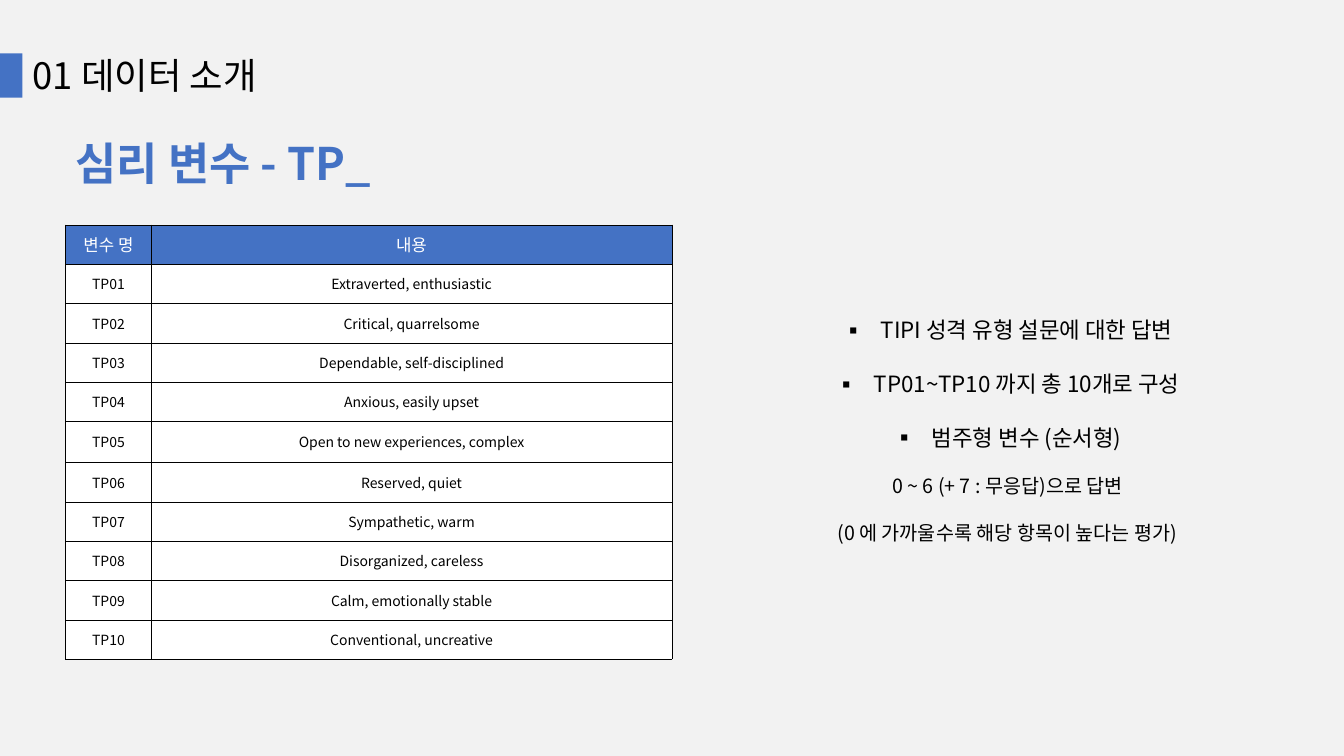
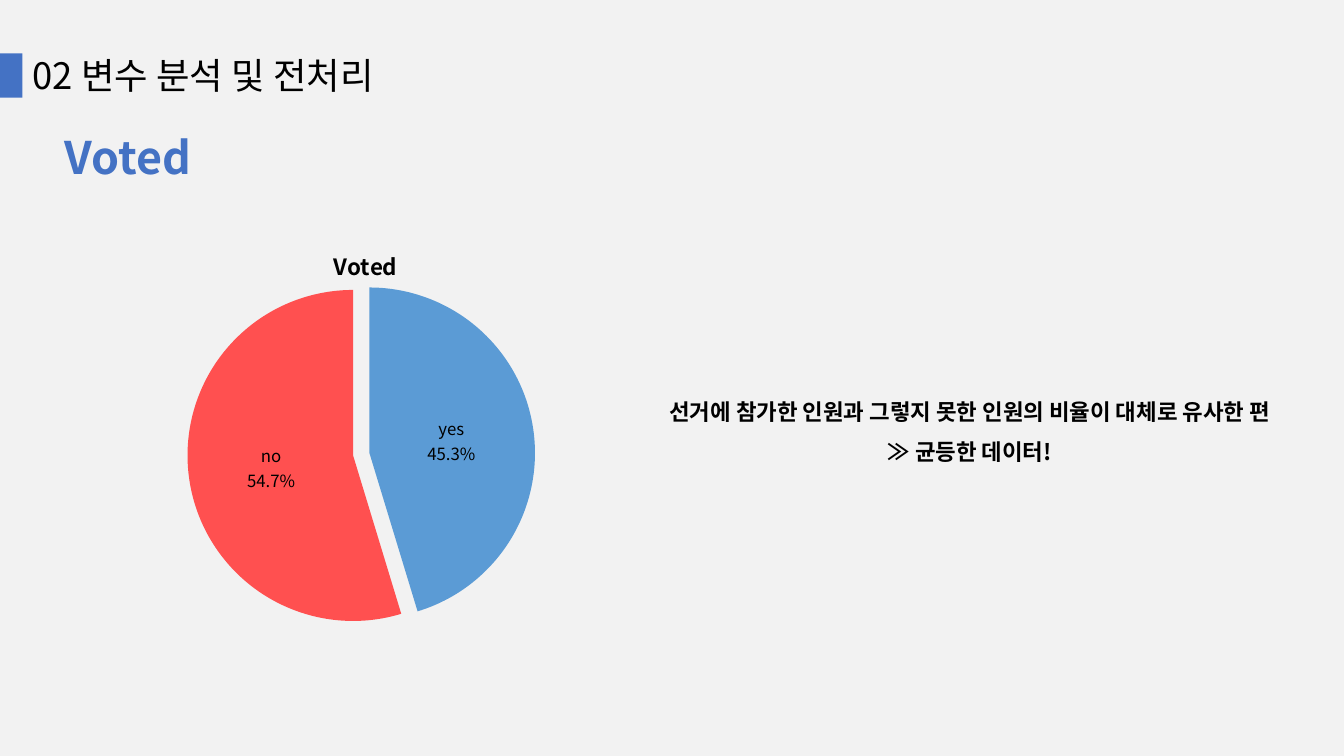
from lxml import etree
from pptx import Presentation
from pptx.chart.data import CategoryChartData
from pptx.dml.color import RGBColor
from pptx.enum.chart import XL_CHART_TYPE, XL_LABEL_POSITION
from pptx.enum.shapes import MSO_SHAPE
from pptx.enum.text import MSO_ANCHOR, MSO_AUTO_SIZE, PP_ALIGN
from pptx.oxml.ns import qn
from pptx.util import Inches, Pt

RECTANGLE = MSO_SHAPE.RECTANGLE
PIE = XL_CHART_TYPE.PIE
LABEL_CENTER = XL_LABEL_POSITION.CENTER
TOP, MIDDLE = MSO_ANCHOR.TOP, MSO_ANCHOR.MIDDLE
GROW, FIXED = MSO_AUTO_SIZE.SHAPE_TO_FIT_TEXT, MSO_AUTO_SIZE.NONE
LEFT, CENTER = PP_ALIGN.LEFT, PP_ALIGN.CENTER

WIDTH, HEIGHT = Inches(13.33), Inches(7.5)
FONT = "Noto Sans CJK KR"
COLORS = {
    "background": "F2F2F2",
    "accent": "4472C4",
    "text": "000000",
    "white": "FFFFFF",
    "yes": "5B9BD5",
    "no": "FF5050",
}
CONTENT_LAYOUT, TITLE_LAYOUT = 1, 5
BULLET_INDENT = Inches(0.38)

TRAITS = [
    "Extraverted, enthusiastic",
    "Critical, quarrelsome",
    "Dependable, self-disciplined",
    "Anxious, easily upset",
    "Open to new experiences, complex",
    "Reserved, quiet",
    "Sympathetic, warm",
    "Disorganized, careless",
    "Calm, emotionally stable",
    "Conventional, uncreative",
]
TALL_ROW = 5


def color(name):
    return RGBColor.from_string(COLORS[name])


def across(percent):
    return round(WIDTH * percent / 100)


def down(percent):
    return round(HEIGHT * percent / 100)


def area(left, top, width, height):
    return across(left), down(top), across(width), down(height)


def fill_solid(fill, name):
    fill.solid()
    fill.fore_color.rgb = color(name)


def add_run(paragraph, text, size, color_name="text", bold=False):
    run = paragraph.add_run()
    run.text = text
    font = run.font
    font.size, font.bold, font.name = Pt(size), bold, FONT
    font.color.rgb = color(color_name)
    latin = run._r.rPr.find(qn("a:latin"))
    east_asian = etree.Element(qn("a:ea"), typeface=FONT)
    latin.addnext(east_asian)


def set_bullet(paragraph, bullet):
    properties = paragraph._p.get_or_add_pPr()
    indent = BULLET_INDENT if bullet else 0
    properties.set("marL", str(indent))
    properties.set("indent", str(-indent))
    if bullet:
        etree.SubElement(properties, qn("a:buFont"), typeface=FONT)
        etree.SubElement(properties, qn("a:buChar"), char=bullet)
    else:
        etree.SubElement(properties, qn("a:buNone"))


def next_paragraph(frame, index, alignment, spacing):
    paragraph = frame.add_paragraph() if index else frame.paragraphs[0]
    paragraph.alignment = alignment
    paragraph.line_spacing = spacing
    paragraph.space_before = Pt(0)
    return paragraph


def set_frame(frame, anchor=TOP, auto_size=GROW):
    frame.word_wrap = True
    frame.auto_size = auto_size
    frame.vertical_anchor = anchor


def move(shape, box):
    shape.left, shape.top, shape.width, shape.height = box


def add_section_slide(presentation, layout, title):
    slide = presentation.slides.add_slide(presentation.slide_layouts[layout])
    band = slide.shapes.add_shape(RECTANGLE, *area(0, 7.07, 1.67, 5.87))
    band.shadow.inherit = False
    fill_solid(band.fill, "accent")
    band.line.fill.background()
    heading = slide.shapes.title
    move(heading, area(1.67, 6.4, 50, 7.2))
    set_frame(heading.text_frame)
    paragraph = next_paragraph(heading.text_frame, 0, LEFT, 1.0)
    add_run(paragraph, title, 26)
    return slide


def add_text(slide, box, lines, size, color_name="text", alignment=LEFT,
             spacing=1.0, anchor=TOP, auto_size=GROW):
    frame = slide.shapes.add_textbox(*box).text_frame
    set_frame(frame, anchor, auto_size)
    for index, line in enumerate(lines):
        paragraph = next_paragraph(frame, index, alignment, spacing)
        add_run(paragraph, line, size, color_name, bold=True)


def add_subtitle(slide, box, text):
    add_text(slide, box, [text], 32, "accent")


def fill_list(placeholder, box, items):
    move(placeholder, box)
    frame = placeholder.text_frame
    set_frame(frame)
    for index, (text, size, bullet) in enumerate(items):
        paragraph = next_paragraph(frame, index, CENTER, 2.0)
        set_bullet(paragraph, bullet)
        add_run(paragraph, text, size)


def set_borders(cell):
    properties = cell._tc.get_or_add_tcPr()
    for index, side in enumerate(("lnL", "lnR", "lnT", "lnB")):
        line = etree.Element(qn(f"a:{side}"), w=str(Pt(0.25)))
        fill = etree.SubElement(line, qn("a:solidFill"))
        etree.SubElement(fill, qn("a:srgbClr"), val=COLORS["text"])
        properties.insert(index, line)


def fill_cell(cell, text, size, text_color, fill_color):
    cell.vertical_anchor = MIDDLE
    fill_solid(cell.fill, fill_color)
    set_borders(cell)
    paragraph = next_paragraph(cell.text_frame, 0, CENTER, 1.0)
    add_run(paragraph, text, size, text_color)


def add_variable_table(slide, box, column_shares):
    rows = [("변수 명", "내용")]
    rows += [(f"TP{number:02}", trait) for number, trait in enumerate(TRAITS, 1)]
    table = slide.shapes.add_table(len(rows), 2, *box).table
    table.first_row = table.horz_banding = False
    for column, share in zip(table.columns, column_shares):
        column.width = across(share)
    for index, texts in enumerate(rows):
        table.rows[index].height = down(5.47 if index == TALL_ROW else 5.2)
        style = (10, "text", "white") if index else (12, "white", "accent")
        for column, text in enumerate(texts):
            fill_cell(table.cell(index, column), text, *style)


def set_chart_layout(parent, index, **shares):
    for old_layout in parent.findall(qn("c:layout")):
        parent.remove(old_layout)
    layout = etree.Element(qn("c:layout"))
    manual = etree.SubElement(layout, qn("c:manualLayout"))
    if "w" in shares:
        etree.SubElement(manual, qn("c:layoutTarget"), val="inner")
    for axis in ("x", "y"):
        etree.SubElement(manual, qn(f"c:{axis}Mode"), val="edge")
    for key, share in shares.items():
        etree.SubElement(manual, qn(f"c:{key}"), val=str(share))
    parent.insert(index, layout)


def add_pie(slide, box, name, shares, explosion):
    data = CategoryChartData()
    data.categories = list(shares)
    data.add_series(name, list(shares.values()))
    chart = slide.shapes.add_chart(PIE, *box, data).chart
    chart.has_legend = False
    chart.font.name, chart.font.size = FONT, Pt(18)
    chart.font.color.rgb = color("text")

    chart.has_title = True
    title = chart.chart_title
    add_run(title.text_frame.paragraphs[0], name, 16, bold=True)
    set_chart_layout(title._element, 1, x=0.46, y=0.1)
    plot_area = chart._chartSpace.find(".//" + qn("c:plotArea"))
    set_chart_layout(plot_area, 0, x=0.26, y=0.18, w=0.49, h=0.77)

    plot = chart.plots[0]
    plot.vary_by_categories = True
    series = plot.series[0]
    for index, category in enumerate(shares):
        fill_solid(series.points[index].format.fill, category)
    first_point = series._element.find(qn("c:dPt"))
    first_point.addprevious(
        etree.Element(qn("c:explosion"), val=str(explosion)))

    plot.has_data_labels = True
    labels = plot.data_labels
    labels.show_value = False
    labels.show_category_name = labels.show_percentage = True
    labels.number_format = "0.0%"
    labels.number_format_is_linked = False
    labels.position = LABEL_CENTER
    labels.font.size, labels.font.name = Pt(12), FONT
    labels.font.color.rgb = color("text")
    separator = etree.Element(qn("c:separator"))
    separator.text = "\n"
    labels._element.find(qn("c:showBubbleSize")).addnext(separator)


def build_variables_slide(presentation):
    slide = add_section_slide(presentation, CONTENT_LAYOUT, "01 데이터 소개")
    add_subtitle(slide, area(4.88, 17.33, 56.1, 8.53), "심리 변수 - TP_")
    add_variable_table(slide, area(4.88, 29.73, 45.1, 57.2), (6.38, 38.72))
    fill_list(slide.placeholders[1], area(53.4, 37.6, 43.13, 57.87), [
        ("TIPI 성격 유형 설문에 대한 답변", 16, "▪"),
        ("TP01~TP10 까지 총 10개로 구성", 16, "▪"),
        ("범주형 변수 (순서형)", 16, "▪"),
        ("0 ~ 6 (+ 7 : 무응답)으로 답변", 14, None),
        ("(0 에 가까울수록 해당 항목이 높다는 평가)", 14, None),
    ])


def build_voted_slide(presentation):
    slide = add_section_slide(presentation, TITLE_LAYOUT, "02 변수 분석 및 전처리")
    add_pie(slide, area(0.22, 26.27, 52.8, 59.87), "Voted",
            {"yes": 45.3, "no": 54.7}, explosion=5)
    add_text(slide, area(46.36, 52.13, 51.6, 8.13), [
        "선거에 참가한 인원과 그렇지 못한 인원의 비율이 대체로 유사한 편",
        "≫ 균등한 데이터!",
    ], 16, alignment=CENTER, spacing=1.5, anchor=MIDDLE, auto_size=FIXED)
    add_subtitle(slide, area(4.05, 16.53, 24.7, 8.53), "Voted")


def main():
    presentation = Presentation()
    presentation.slide_width, presentation.slide_height = WIDTH, HEIGHT
    fill_solid(presentation.slide_master.background.fill, "background")
    build_variables_slide(presentation)
    build_voted_slide(presentation)
    presentation.save("out.pptx")


if __name__ == "__main__":
    main()
